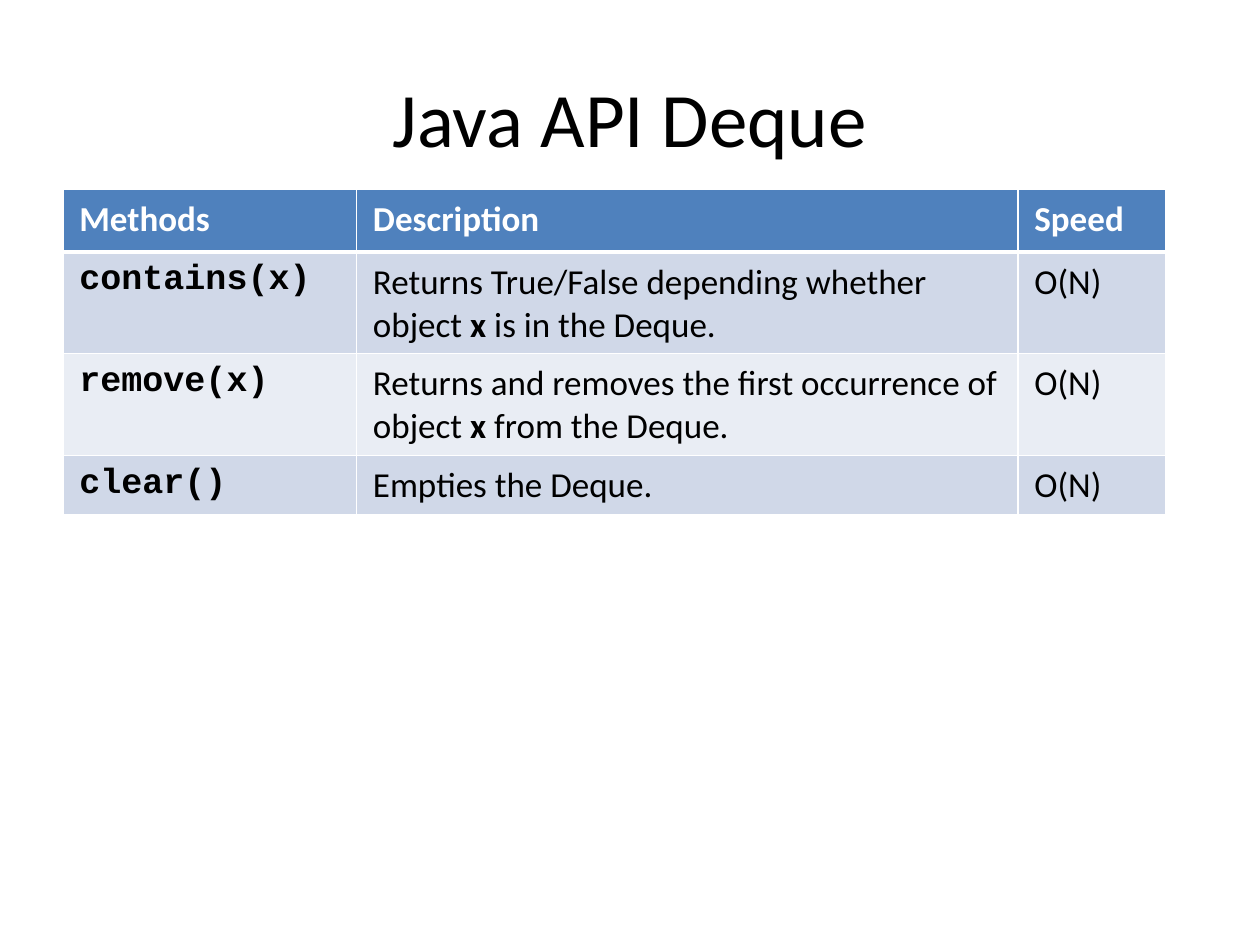
from dataclasses import dataclass

from lxml.etree import SubElement
from pptx import Presentation
from pptx.dml.color import RGBColor
from pptx.enum.text import MSO_ANCHOR as Anchor, PP_ALIGN as Align
from pptx.oxml.ns import qn
from pptx.util import Inches, Pt

SANS, MONO = "Calibri", "Courier New"
BLACK, WHITE, BLUE = "000000", "FFFFFF", "4F81BD"
BANDS = ("D0D8E8", "E9EDF4")
WIDTHS = (2.33, 5.25, 1.17)
HEIGHTS = (0.5, 0.5, 0.42, 0.42)
HEADS = ("Methods", "Description", "Speed")


@dataclass
class Method:
    name: str
    about: tuple[str, ...]
    speed: str = "O(N)"


METHODS = (
    Method("contains(x)", ("Returns True/False depending whether object ", "x", " is in the Deque.")),
    Method("remove(x)", ("Returns and removes the first occurrence of object ", "x", " from the Deque.")),
    Method("clear()", ("Empties the Deque.",)),
)


def color(code: str) -> RGBColor:
    return RGBColor.from_string(code)


def write(para, text: str, *, size=20, font=SANS, ink=BLACK, bold=False) -> None:
    run = para.add_run()
    run.text = text
    run.font.size = Pt(size)
    run.font.name = font
    run.font.bold = bold
    run.font.color.rgb = color(ink)


def edge(cell, side: str, width: float) -> None:
    line = SubElement(cell._tc.get_or_add_tcPr(), qn(f"a:ln{side}"), w=str(Pt(width)))
    fill = SubElement(line, qn("a:solidFill"))
    SubElement(fill, qn("a:srgbClr"), val=WHITE)


def style(cell, fill: str, top: float, base: float) -> None:
    cell.margin_left = cell.margin_right = Inches(0.13)
    cell.margin_top = cell.margin_bottom = Inches(0.07)
    for side, width in (("L", 1), ("R", 1), ("T", top), ("B", base)):
        edge(cell, side, width)
    cell.fill.solid()
    cell.fill.fore_color.rgb = color(fill)


def add_title(slide, text: str) -> None:
    box = slide.shapes.add_textbox(Inches(0.5), Inches(0.3), Inches(9), Inches(1.25))
    frame = box.text_frame
    frame.word_wrap = True
    frame.vertical_anchor = Anchor.MIDDLE
    para = frame.paragraphs[0]
    para.alignment = Align.CENTER
    write(para, text, size=44)


def add_grid(slide) -> None:
    table = slide.shapes.add_table(
        len(HEIGHTS), len(WIDTHS), Inches(0.5), Inches(1.5),
        Inches(sum(WIDTHS)), Inches(sum(HEIGHTS)),
    ).table
    for col, width in zip(table.columns, WIDTHS):
        col.width = Inches(width)
    for row, height in zip(table.rows, HEIGHTS):
        row.height = Inches(height)

    for i, head in enumerate(HEADS):
        cell = table.cell(0, i)
        style(cell, BLUE, 1, 3)
        write(cell.text_frame.paragraphs[0], head, ink=WHITE, bold=True)

    for i, method in enumerate(METHODS):
        cells = table.rows[i + 1].cells
        for cell in cells:
            style(cell, BANDS[i % 2], 1 if i else 3, 1)
        name, about, speed = (cell.text_frame.paragraphs[0] for cell in cells)
        write(name, method.name, font=MONO, bold=True)
        for part in method.about:
            write(about, part, bold=part == "x")
        write(speed, method.speed)


def main() -> None:
    deck = Presentation()
    deck.slide_width, deck.slide_height = Inches(10), Inches(7.5)
    slide = deck.slides.add_slide(deck.slide_layouts[6])
    add_title(slide, "Java API Deque")
    add_grid(slide)
    deck.save("out.pptx")


if __name__ == "__main__":
    main()
